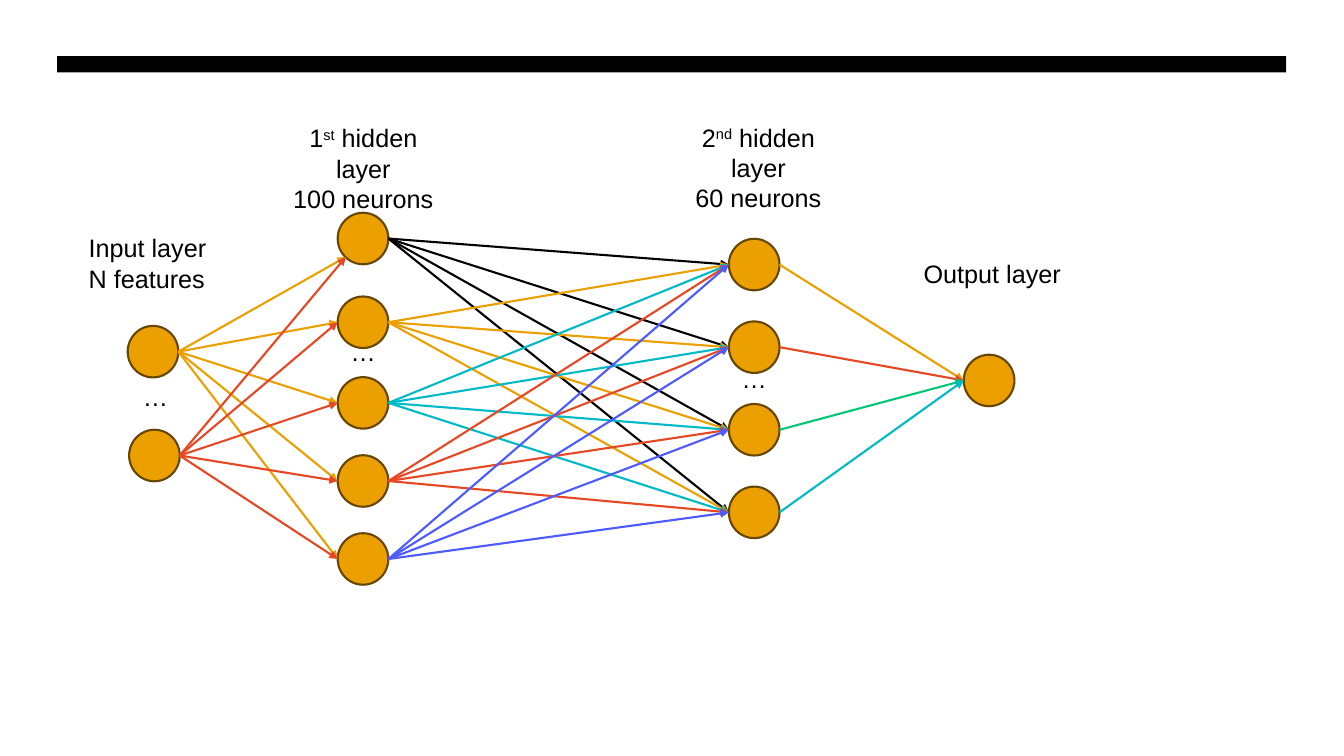
import pptx
import pptx.util
import pptx.dml.color
import pptx.enum.shapes
import pptx.enum.text
import pptx.oxml.ns
import lxml.etree

Pt = pptx.util.Pt
Shape = pptx.enum.shapes.MSO_SHAPE
Align = pptx.enum.text.PP_ALIGN
qn = pptx.oxml.ns.qn

GOLD, RED, TEAL = "EBA000", "E64823", "00BAC8"
BLUE, GREEN, BLACK = "4D5AFF", "00C777", "000000"
WIDE, HIGH = 36.2, 36.8


def tint(text):
    return pptx.dml.color.RGBColor.from_string(text)


def link(start, end, shade):
    line = slide.shapes.add_connector(
        pptx.enum.shapes.MSO_CONNECTOR.STRAIGHT,
        Pt(start[0]), Pt(start[1]), Pt(end[0]), Pt(end[1]))
    line.line.color.rgb = tint(shade)
    line.line.width = Pt(1.5)
    tail = lxml.etree.SubElement(line.line._get_or_add_ln(), qn("a:tailEnd"))
    tail.set("type", "triangle")
    lxml.etree.SubElement(line._element.spPr, qn("a:effectLst"))


deck = pptx.Presentation()
deck.slide_width, deck.slide_height = Pt(960), Pt(540)
slide = deck.slides.add_slide(deck.slide_layouts[6])

# Top bar
bar = slide.shapes.add_shape(
    Shape.RECTANGLE, Pt(40.8), Pt(40.2), Pt(878), Pt(11.5))
bar.shadow.inherit = False
bar.fill.solid()
bar.fill.fore_color.rgb = tint(BLACK)
bar.line.fill.background()

# Neurons: left and top of each, by layer
layers = [
    [(91.2, 232.8), (92.2, 307)],
    [(241.2, top) for top in (152, 211.8, 269.4, 325.2, 380.9)],
    [(520.6, 170.6 + 59 * row) for row in range(4)],
    [(688.4, 253.4)],
]
for layer in layers:
    for left, top in layer:
        node = slide.shapes.add_shape(
            Shape.FLOWCHART_CONNECTOR, Pt(left), Pt(top), Pt(WIDE), Pt(HIGH))
        node.shadow.inherit = False
        node.fill.solid()
        node.fill.fore_color.rgb = tint(GOLD)
        node.line.color.rgb = tint("674600")
        node.line.width = Pt(1.5)

# Arrows: every neuron to every neuron of the next layer
shades = [
    [GOLD, RED],
    [BLACK, GOLD, TEAL, RED, BLUE],
    [GOLD, RED, GREEN, TEAL],
]
for step, row in enumerate(shades):
    ends = [(left, top + HIGH / 2) for left, top in layers[step + 1]]
    if step == 0:
        ends[0] = (247, 183.6)  # lower left rim of the top neuron
    for (left, top), shade in zip(layers[step], row):
        for end in ends:
            link((left + WIDE, top + HIGH / 2), end, shade)

# Labels: ^ marks the raised part
labels = [
    (56.2, 162.7, 123, 51, Align.LEFT, ["Input layer", "N features"]),
    (198, 84.1, 123, 73, Align.CENTER, ["1^st^ hidden layer", "100 neurons"]),
    (480.2, 83.5, 123, 73, Align.CENTER, ["2^nd^ hidden layer", "60 neurons"]),
    (647.3, 180.7, 123, 51, Align.CENTER, ["Output layer"]),
    (95, 268.6, 25.2, 29, Align.LEFT, ["…"]),
    (243.4, 236.9, 25.2, 29, Align.LEFT, ["…"]),
    (522.7, 255.6, 25.2, 29, Align.LEFT, ["…"]),
]
for left, top, wide, high, align, rows in labels:
    box = slide.shapes.add_textbox(Pt(left), Pt(top), Pt(wide), Pt(high))
    frame = box.text_frame
    frame.word_wrap = True
    frame.auto_size = pptx.enum.text.MSO_AUTO_SIZE.SHAPE_TO_FIT_TEXT
    frame.text = "\n".join(row.split("^")[0] for row in rows)
    for para, row in zip(frame.paragraphs, rows):
        para.alignment = align
        for part in row.split("^")[1:]:
            para.add_run().text = part
        for spot, run in enumerate(para.runs):
            run.font.name = "Arial"
            run.font.size = Pt(18)
            run.font.color.rgb = tint(BLACK)
            if spot % 2:
                run.font._element.set("baseline", "30000")

deck.save("out.pptx")
